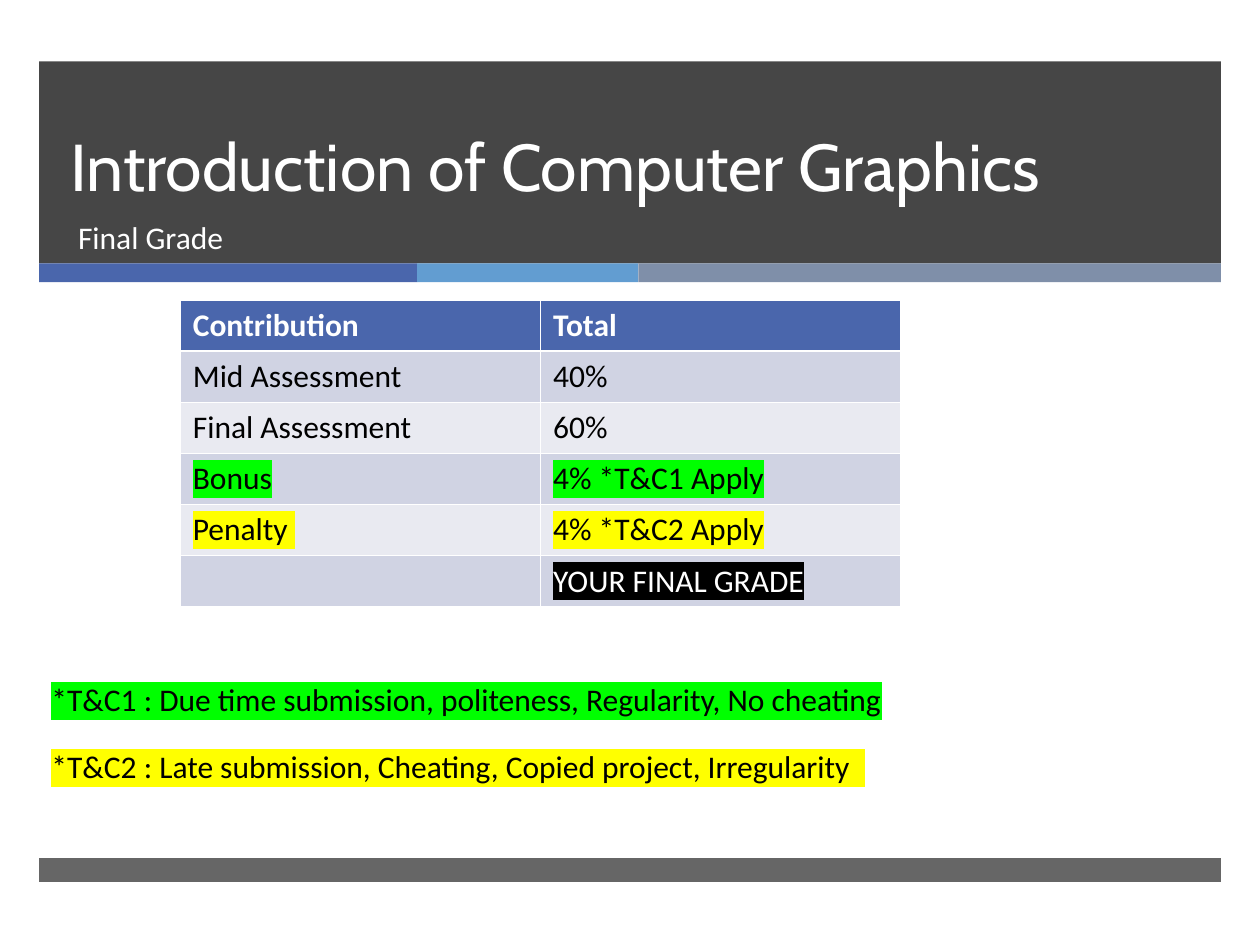
from lxml.etree import SubElement
from pptx import Presentation
from pptx.dml.color import RGBColor
from pptx.enum.shapes import MSO_SHAPE as Shape
from pptx.enum.text import MSO_ANCHOR as Anchor, MSO_AUTO_SIZE as AutoSize, PP_ALIGN as Align
from pptx.oxml import parse_xml
from pptx.oxml.ns import nsdecls, qn
from pptx.util import Pt

WHITE, BLACK, CHARCOAL = "FFFFFF", "000000", "262626"
BLUE, SKY, SLATE = "4A66AC", "629DD1", "7F8FA9"
BAND_DARK, BAND_LIGHT = "D0D3E3", "E9EAF1"
GREEN, YELLOW = "00FF00", "FFFF00"


def paint(target, color):
    """Give a fill a solid colour."""
    target.solid()
    target.fore_color.rgb = RGBColor.from_string(color)


def add_span(para, text, color=BLACK, size=18, font="Calibri", bold=False, mark=None):
    """Add one formatted run, optionally highlighted."""
    span = para.add_run()
    span.text = text
    span.font.size = Pt(size)
    span.font.name = font
    span.font.bold = bold
    paint(span.font.fill, color)
    if mark:
        fill = span.font._element.find(qn("a:solidFill"))
        fill.addnext(parse_xml(
            f'<a:highlight {nsdecls("a")}><a:srgbClr val="{mark}"/></a:highlight>'))


def place(shape, box):
    """Move a shape to a box given in points."""
    shape.left, shape.top, shape.width, shape.height = map(Pt, box)


def add_bar(page, box, color, opacity=100):
    """Draw a plain rectangle of the given opacity in percent."""
    bar = page.shapes.add_shape(Shape.RECTANGLE, *map(Pt, box))
    bar.shadow.inherit = False
    paint(bar.fill, color)
    bar.line.fill.background()
    if opacity < 100:
        tint = bar.fill._xPr.find(qn("a:solidFill"))[0]
        SubElement(tint, qn("a:alpha"), val=str(opacity * 1000))


def fill_placeholder(holder, box, anchor):
    """Place a placeholder and return its left-aligned paragraph."""
    place(holder, box)
    frame = holder.text_frame
    frame.word_wrap = True
    frame.auto_size = AutoSize.NONE
    frame.vertical_anchor = anchor
    para = frame.paragraphs[0]
    para.alignment = Align.LEFT
    para.space_before = Pt(0)
    return para


def add_banner(page, box):
    """Build the dark banner with its colour strip, title and subtitle."""
    left, top, width, height = box
    add_bar(page, box, CHARCOAL, 85)
    edge = left
    for share, color in ((0.32, BLUE), (0.187, SKY), (0.493, SLATE)):
        add_bar(page, (edge, top + height, width * share, 10.8), color)
        edge += width * share
    title, subtitle = page.placeholders
    para = fill_placeholder(title, (left + 10.8, top, 615, 85.7), Anchor.BOTTOM)
    para.line_spacing = Pt(46)
    add_span(para, "Introduction of Computer Graphics ", WHITE, 37.8, "Cabin")
    para = fill_placeholder(subtitle, (left + 15.1, top + 85.7, 610.6, 38.2), Anchor.TOP)
    add_span(para, "Final Grade", WHITE)


def add_grades(page, box):
    """Build the banded table of grade contributions."""
    rows = (
        ("Contribution ", "Total", WHITE, None),
        ("Mid Assessment ", "40%", BLACK, None),
        ("Final Assessment", "60%", BLACK, None),
        ("Bonus", "4% *T&C1 Apply", BLACK, GREEN),
        ("Penalty ", "4% *T&C2 Apply", BLACK, YELLOW),
        ("", "YOUR FINAL GRADE", WHITE, BLACK),
    )
    table = page.shapes.add_table(len(rows), 2, *map(Pt, box)).table
    for index, (*texts, color, mark) in enumerate(rows):
        band = BAND_DARK if index % 2 else BAND_LIGHT
        for column, text in enumerate(texts):
            cell = table.cell(index, column)
            paint(cell.fill, band if index else BLUE)
            if text:
                add_span(cell.text_frame.paragraphs[0], text, color,
                         bold=index == 0, mark=mark)


def add_terms(page, box):
    """Stack the highlighted terms in equal rows inside the box."""
    left, top, width, height = box
    terms = (
        ("*T&C1 : Due time submission, politeness, Regularity, No cheating", GREEN),
        ("*T&C2 : Late submission, Cheating, Copied project, Irregularity  ", YELLOW),
    )
    step = height / len(terms)
    for index, (text, mark) in enumerate(terms):
        note = page.shapes.add_textbox(*map(Pt, (left, top + index * step, width, step)))
        note.text_frame.word_wrap = True
        add_span(note.text_frame.paragraphs[0], text, mark=mark)


def build():
    """Build and save the deck."""
    deck = Presentation()
    deck.slide_width, deck.slide_height = Pt(720), Pt(540)
    page = deck.slides.add_slide(deck.slide_layouts[0])
    title, subtitle = page.placeholders
    add_banner(page, (22.3, 35, 675.4, 115.5))
    for holder in (title, subtitle):
        page.shapes._spTree.append(holder._element)
    add_bar(page, (22.3, 490.3, 675.4, 13.7), CHARCOAL, 70)
    add_grades(page, (103, 171.4, 411.8, 175.4))
    add_terms(page, (22.3, 385.2, 610.6, 76.4))
    deck.save("out.pptx")


build()
